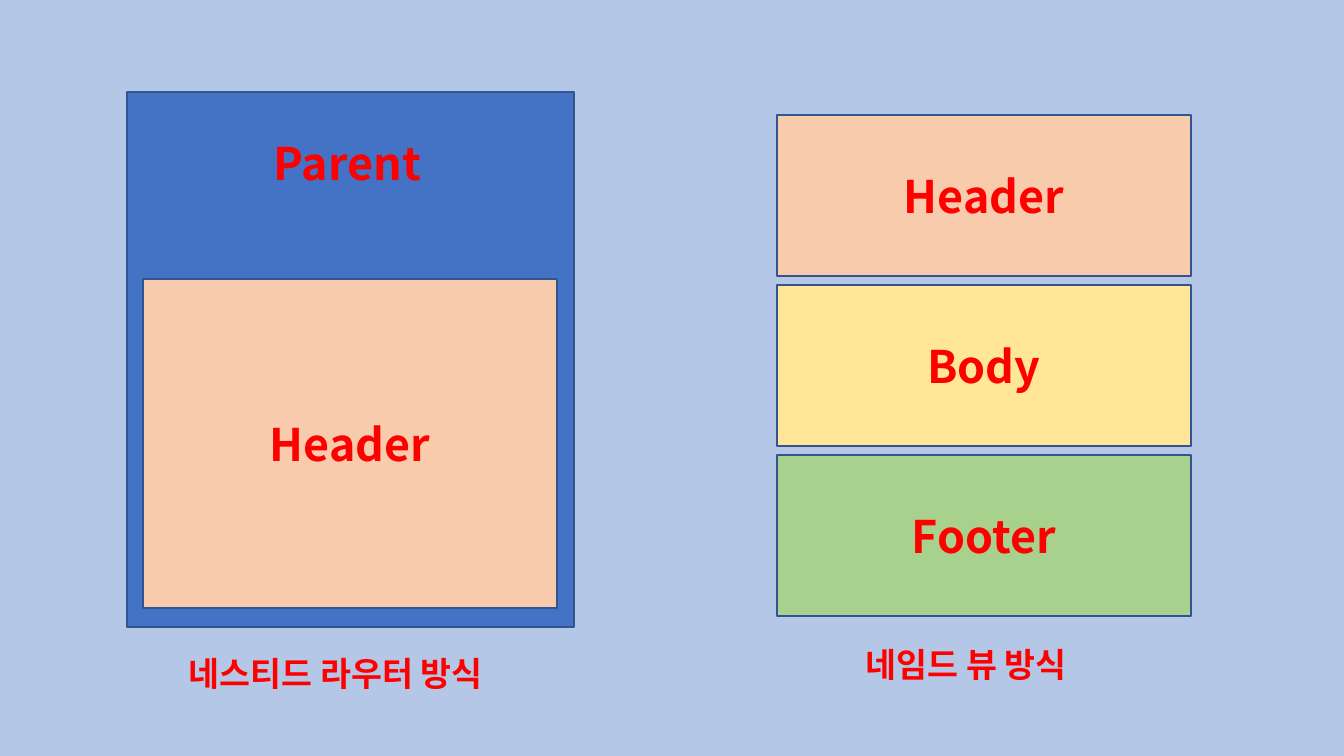
import pptx
import pptx.dml.color
import pptx.enum.shapes
import pptx.enum.text
import pptx.oxml
import pptx.oxml.ns
import pptx.util
from lxml import etree

PX = 914400 / 100.8
THEME = {
    "font": "Noto Sans CJK KR",
    "label_size": 32,
    "caption_size": 24,
    "background": "B4C7E7",
    "text": "FF0000",
    "outline": "325491",
    "parent": "4472C4",
    "header": "F8CBAD",
    "body": "FFE699",
    "footer": "A9D18E",
}


def write_text(frame, text, size, align):
    """Fill a text frame with one bold line, Latin and Korean in the same font."""
    frame.word_wrap = True
    paragraph = frame.paragraphs[0]
    paragraph.text = text
    paragraph.alignment = align
    paragraph.font.size = pptx.util.Pt(size)
    paragraph.font.bold = True
    paragraph.font.color.rgb = pptx.dml.color.RGBColor.from_string(THEME["text"])
    paragraph.font.name = THEME["font"]
    defaults = paragraph._p.pPr.find(pptx.oxml.ns.qn("a:defRPr"))
    etree.SubElement(defaults, pptx.oxml.ns.qn("a:ea"), typeface=THEME["font"])


def add_view(slide, bounds, color, label):
    """Draw an outlined view box; bounds are left, top, width, height in px."""
    view = slide.shapes.add_shape(
        pptx.enum.shapes.MSO_SHAPE.RECTANGLE, *(round(n * PX) for n in bounds))
    view.shadow.inherit = False
    view.fill.solid()
    view.fill.fore_color.rgb = pptx.dml.color.RGBColor.from_string(THEME[color])
    view.line.color.rgb = pptx.dml.color.RGBColor.from_string(THEME["outline"])
    view.line.width = pptx.util.Pt(1)
    if label:
        view.text_frame.vertical_anchor = pptx.enum.text.MSO_ANCHOR.MIDDLE
        write_text(view.text_frame, label, THEME["label_size"],
                   pptx.enum.text.PP_ALIGN.CENTER)


deck = pptx.Presentation()
deck.slide_width = round(1344 * PX)
deck.slide_height = round(756 * PX)
slide = deck.slides.add_slide(deck.slide_layouts[6])
slide.background.fill.solid()
slide.background.fill.fore_color.rgb = pptx.dml.color.RGBColor.from_string(
    THEME["background"])

# Nested router: one view inside its parent
add_view(slide, (127, 92, 447, 535), "parent", None)
add_view(slide, (143, 279, 414, 329), "header", "Header")

# Named views: three siblings stacked at an equal pitch
for row, name in enumerate(["Header", "Body", "Footer"]):
    add_view(slide, (777, 115 + row * 170, 414, 161), name.lower(), name)

captions = [
    ("Parent", (264, 131, 236, 65), THEME["label_size"]),
    ("네스티드 라우터 방식", (179, 648, 364, 50), THEME["caption_size"]),
    ("네임드 뷰 방식", (856, 639, 364, 50), THEME["caption_size"]),
]
for text, bounds, size in captions:
    caption = slide.shapes.add_textbox(*(round(n * PX) for n in bounds))
    write_text(caption.text_frame, text, size, pptx.enum.text.PP_ALIGN.LEFT)
    caption.text_frame.auto_size = pptx.enum.text.MSO_AUTO_SIZE.SHAPE_TO_FIT_TEXT

deck.save("out.pptx")
